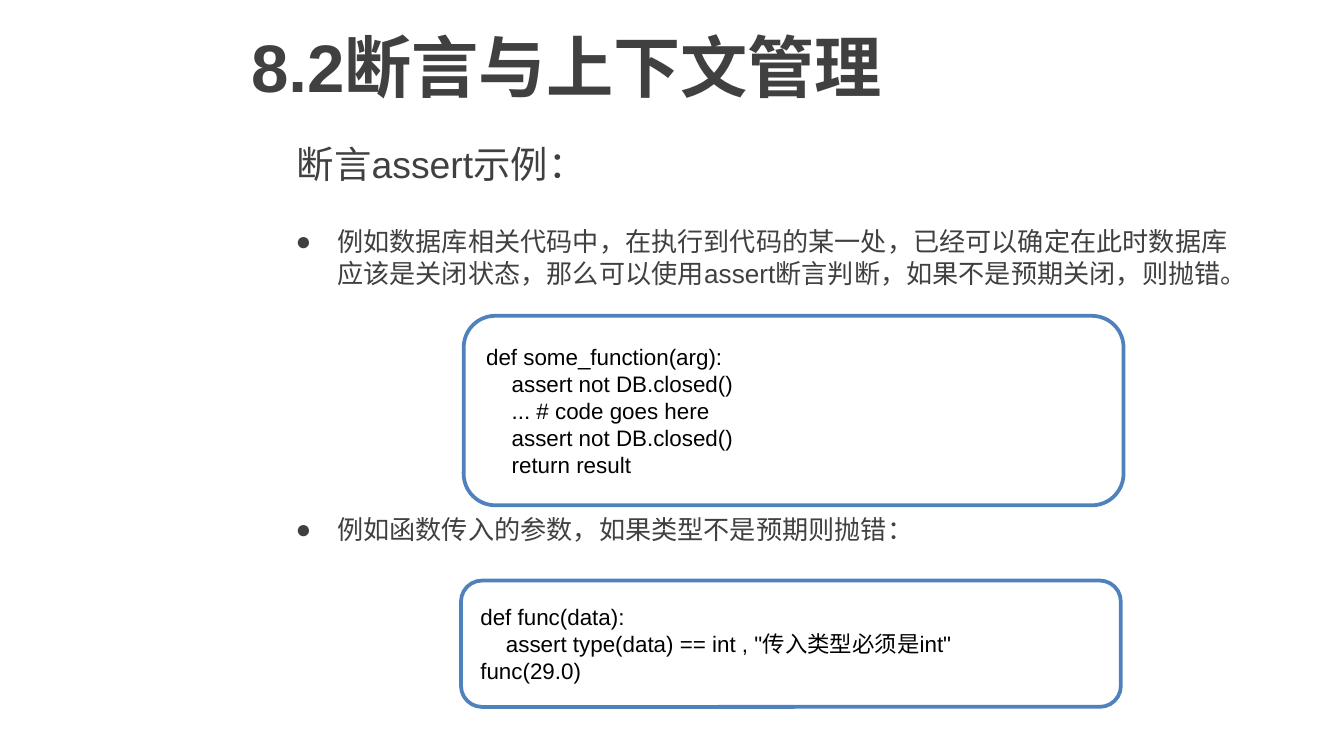
import dataclasses

import pptx
import pptx.dml.color
import pptx.enum.shapes
import pptx.enum.text
import pptx.oxml.ns
import pptx.util
from lxml import etree

Inches = pptx.util.Inches
Pt = pptx.util.Pt
Anchor = pptx.enum.text.MSO_ANCHOR


@dataclasses.dataclass(frozen=True)
class Theme:
    font: str = "Arial"
    text: str = "404040"
    code: str = "000000"
    paper: str = "FFFFFF"
    border: str = "4F81BD"
    title_size: int = 36
    heading_size: int = 20
    body_size: int = 14
    code_size: int = 12
    border_width: int = 2


class SlideBuilder:
    def __init__(self, slide, theme):
        self.slide = slide
        self.theme = theme

    def color(self, value):
        return pptx.dml.color.RGBColor.from_string(value)

    def style(self, paragraph, size, color, bold=False):
        paragraph.alignment = pptx.enum.text.PP_ALIGN.LEFT
        paragraph.font.name = self.theme.font
        paragraph.font.size = Pt(size)
        paragraph.font.bold = bold
        paragraph.font.color.rgb = self.color(color)

    def indent(self, paragraph, left, first=0):
        properties = paragraph._p.get_or_add_pPr()
        properties.set("marL", str(Inches(left)))
        properties.set("indent", str(Inches(first)))
        return properties

    def fill_paragraphs(self, frame, lines):
        frame.word_wrap = True
        frame.text = "\n".join(lines)
        return frame.paragraphs

    def text_box(self, box, lines, size, anchor=Anchor.MIDDLE, bold=False):
        shape = self.slide.shapes.add_textbox(*map(Inches, box))
        frame = shape.text_frame
        frame.vertical_anchor = anchor
        for paragraph in self.fill_paragraphs(frame, lines):
            self.style(paragraph, size, self.theme.text, bold)
        return frame

    def bullets(self, box, lines, gap):
        frame = self.text_box(box, lines, self.theme.body_size, Anchor.TOP)
        frame.margin_left = Inches(0.43)
        for index, paragraph in enumerate(frame.paragraphs):
            if index:
                paragraph.space_before = Pt(gap)
            properties = self.indent(paragraph, 0.31, -0.31)
            defaults = properties.find(pptx.oxml.ns.qn("a:defRPr"))
            for tag, attributes in (("a:buFont", {"typeface": self.theme.font}),
                                    ("a:buChar", {"char": "●"})):
                defaults.addprevious(
                    etree.Element(pptx.oxml.ns.qn(tag), attributes))

    def code_box(self, box, code):
        shape = self.slide.shapes.add_shape(
            pptx.enum.shapes.MSO_SHAPE.ROUNDED_RECTANGLE, *map(Inches, box))
        shape.shadow.inherit = False
        shape.fill.solid()
        shape.fill.fore_color.rgb = self.color(self.theme.paper)
        shape.line.color.rgb = self.color(self.theme.border)
        shape.line.width = Pt(self.theme.border_width)
        frame = shape.text_frame
        frame.vertical_anchor = Anchor.MIDDLE
        lines = [line for level, line in code]
        paragraphs = self.fill_paragraphs(frame, lines)
        for (level, line), paragraph in zip(code, paragraphs):
            self.style(paragraph, self.theme.code_size, self.theme.code)
            self.indent(paragraph, 0.19 * level)


def main():
    presentation = pptx.Presentation()
    presentation.slide_width = Inches(10)
    presentation.slide_height = Inches(10) * 9 // 16
    theme = Theme()
    slide = presentation.slides.add_slide(presentation.slide_layouts[6])
    builder = SlideBuilder(slide, theme)

    builder.text_box((1.77, 0, 8.23, 0.97), ["8.2断言与上下文管理"],
                     theme.title_size, bold=True)
    builder.text_box((2.11, 0.97, 7.56, 0.5), ["断言assert示例："],
                     theme.heading_size)
    builder.bullets((1.77, 1.63, 7.56, 3.28), [
        "例如数据库相关代码中，在执行到代码的某一处，已经可以确定在此时数据库"
        "应该是关闭状态，那么可以使用assert断言判断，如果不是预期关闭，则抛错。",
        "例如函数传入的参数，如果类型不是预期则抛错：",
    ], gap=120.5)
    builder.code_box((3.45, 2.35, 4.91, 1.41), [
        (0, "def some_function(arg):"),
        (1, "assert not DB.closed()"),
        (1, "... # code goes here"),
        (1, "assert not DB.closed()"),
        (1, "return result"),
    ])
    builder.code_box((3.43, 4.32, 4.91, 0.94), [
        (0, "def func(data):"),
        (1, 'assert type(data) == int , "传入类型必须是int"'),
        (0, "func(29.0)"),
    ])
    presentation.save("out.pptx")


if __name__ == "__main__":
    main()
